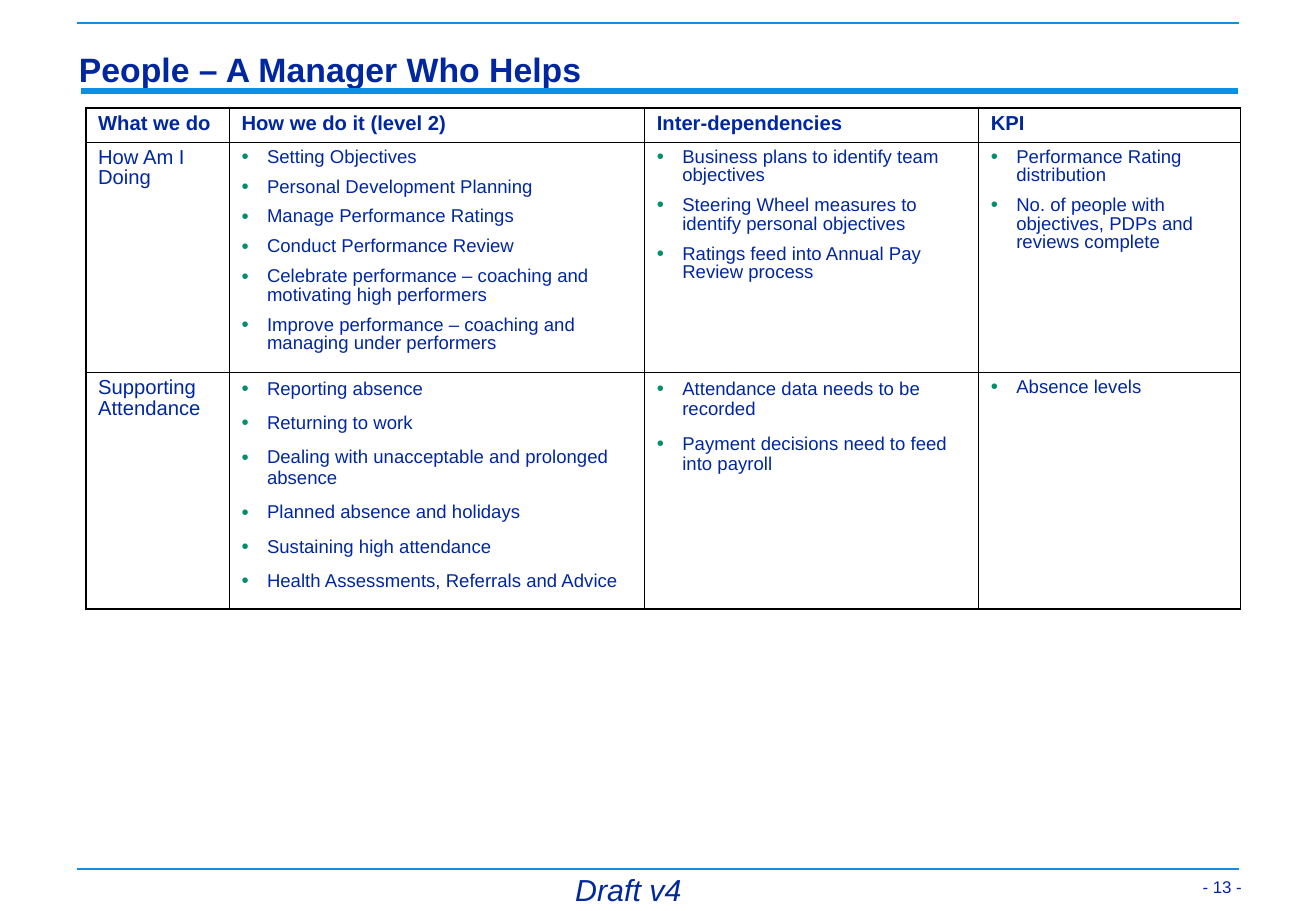
from dataclasses import dataclass
from typing import Any

from lxml.etree import SubElement
from pptx import Presentation
from pptx.dml.color import RGBColor as RGB
from pptx.enum.shapes import MSO_CONNECTOR as Conn
from pptx.enum.text import MSO_ANCHOR as Anchor, PP_ALIGN as Align
from pptx.oxml import parse_xml
from pptx.oxml.ns import nsdecls, qn
from pptx.util import Pt


@dataclass(frozen=True)
class Theme:
    font: str = "Arial"
    navy: RGB = RGB.from_string("00279F")
    sky: RGB = RGB.from_string("0A91E6")
    bullet: str = "008F6D"
    border: str = "000000"
    title: float = 20
    draft: float = 18
    label: float = 12
    item: float = 11
    page: float = 10
    outer: float = 1.08
    inner: float = 0.45


@dataclass(frozen=True)
class Rule:
    x1: float
    x2: float
    y: float
    weight: float


@dataclass(frozen=True)
class Style:
    size: float
    bold: bool = False
    italic: bool = False
    align: Any = Align.LEFT
    spacing: float = 0.9
    before: float = 0
    after: float = 0
    bulleted: bool = False


@dataclass(frozen=True)
class Cell:
    lines: tuple[str, ...]
    style: Style


@dataclass(frozen=True)
class Label:
    text: str
    box: tuple[float, float, float, float]
    style: Style
    margins: tuple[float, float]
    anchor: Any


T = Theme()
HEAD = Style(T.label, bold=True)
TOPIC = Style(T.label)
TIGHT = Style(T.item, before=6.1, after=0.6, bulleted=True)
LOOSE = Style(T.item, spacing=1.0, before=7.5, after=0.6, bulleted=True)

TITLE = Label("People – A Manager Who Helps", (41.8, 24, 693.4, 31.7),
              Style(T.title, bold=True, spacing=0.97), (5, 2.2), Anchor.BOTTOM)
FOOTERS = (
    Label("- 13 -", (697.9, 505.8, 43.2, 28.1),
          Style(T.page, align=Align.RIGHT, spacing=1.0), (5, 2.2), Anchor.BOTTOM),
    Label("Draft v4", (287.2, 515, 170.6, 26.6),
          Style(T.draft, italic=True, align=Align.CENTER), (7.2, 3.6), Anchor.TOP),
)
RULES = (
    Rule(48.2, 733.9, 54, 4),
    Rule(45.4, 734.5, 13.8, 1),
    Rule(45.4, 734.5, 515, 1),
)
COLUMNS = (85, 246.2, 198, 155.2)
ROWS = (20.2, 136.4, 140.4)
CELLS = (
    tuple(Cell((text,), HEAD) for text in (
        "What we do", "How we do it (level 2)", "Inter-dependencies", "KPI")),
    (
        Cell(("How Am I Doing",), TOPIC),
        Cell(("Setting Objectives",
              "Personal Development Planning",
              "Manage Performance Ratings",
              "Conduct Performance Review",
              "Celebrate performance – coaching and motivating high performers",
              "Improve performance – coaching and managing under performers"), TIGHT),
        Cell(("Business plans to identify team objectives",
              "Steering Wheel measures to identify personal objectives",
              "Ratings feed into Annual Pay Review process"), TIGHT),
        Cell(("Performance Rating distribution",
              "No. of people with objectives, PDPs and reviews complete"), TIGHT),
    ),
    (
        Cell(("Supporting Attendance",), TOPIC),
        Cell(("Reporting absence",
              "Returning to work",
              "Dealing with unacceptable and prolonged absence",
              "Planned absence and holidays",
              "Sustaining high attendance",
              "Health Assessments, Referrals and Advice"), LOOSE),
        Cell(("Attendance data needs to be recorded",
              "Payment decisions need to feed into payroll"), LOOSE),
        Cell(("Absence levels",), TIGHT),
    ),
)


def set_all(target: Any, values: dict[str, Any]) -> None:
    for name, value in values.items():
        setattr(target, name, value)


def add_bullet(p: Any) -> None:
    pPr = p._p.get_or_add_pPr()
    for name, value in {"marL": Pt(15.1), "indent": Pt(-15.1)}.items():
        pPr.set(name, str(value))
    color = SubElement(pPr, qn("a:buClr"))
    SubElement(color, qn("a:srgbClr"), val=T.bullet)
    SubElement(pPr, qn("a:buSzPct"), val="110000")
    SubElement(pPr, qn("a:buFont"), typeface=T.font)
    SubElement(pPr, qn("a:buChar"), char="•")


def write(tf: Any, lines: tuple[str, ...], style: Style) -> None:
    for i, line in enumerate(lines):
        p = tf.paragraphs[0] if i == 0 else tf.add_paragraph()
        if style.bulleted:
            add_bullet(p)
        set_all(p, {"alignment": style.align, "line_spacing": style.spacing,
                    "space_before": Pt(style.before if i else 0),
                    "space_after": Pt(style.after)})
        r = p.add_run()
        r.text = line
        set_all(r.font, {"name": T.font, "size": Pt(style.size),
                         "bold": style.bold, "italic": style.italic})
        r.font.color.rgb = T.navy


def fill_label(sp: Any, label: Label) -> None:
    set_all(sp, dict(zip(("left", "top", "width", "height"), map(Pt, label.box))))
    side, edge = map(Pt, label.margins)
    tf = sp.text_frame
    set_all(tf, {"word_wrap": True, "vertical_anchor": label.anchor,
                 "margin_left": side, "margin_right": side,
                 "margin_top": edge, "margin_bottom": edge})
    write(tf, (label.text,), label.style)


def add_rule(s: Any, rule: Rule) -> None:
    line = s.shapes.add_connector(Conn.STRAIGHT, Pt(rule.x1), Pt(rule.y),
                                  Pt(rule.x2), Pt(rule.y))
    line.line.color.rgb = T.sky
    line.line.width = Pt(rule.weight)
    SubElement(line._element.spPr, qn("a:effectLst"))


def set_borders(cell: Any, row: int, col: int) -> None:
    edges = {"L": col == 0, "R": col == len(COLUMNS) - 1,
             "T": row == 0, "B": row == len(ROWS) - 1}
    tcPr = cell._tc.get_or_add_tcPr()
    for i, (side, outside) in enumerate(edges.items()):
        width = Pt(T.outer if outside else T.inner)
        tcPr.insert(i, parse_xml(
            f'<a:ln{side} {nsdecls("a")} w="{width}"><a:solidFill>'
            f'<a:srgbClr val="{T.border}"/></a:solidFill></a:ln{side}>'))


def add_plan_table(s: Any) -> None:
    table = s.shapes.add_table(len(ROWS), len(COLUMNS), Pt(51), Pt(64.1),
                               Pt(sum(COLUMNS)), Pt(sum(ROWS))).table
    set_all(table, {"first_row": False, "horz_banding": False})
    for column, width in zip(table.columns, COLUMNS):
        column.width = Pt(width)
    for i, (row, height) in enumerate(zip(table.rows, ROWS)):
        row.height = Pt(height)
        for j, (cell, content) in enumerate(zip(row.cells, CELLS[i])):
            cell.fill.background()
            set_borders(cell, i, j)
            write(cell.text_frame, content.lines, content.style)


def main() -> None:
    prs = Presentation()
    set_all(prs, {"slide_width": Pt(780.13), "slide_height": Pt(540)})
    s = prs.slides.add_slide(prs.slide_layouts[5])
    for rule in RULES:
        add_rule(s, rule)
    for footer in FOOTERS:
        fill_label(s.shapes.add_textbox(*map(Pt, footer.box)), footer)
    fill_label(s.shapes.title, TITLE)
    add_plan_table(s)
    prs.save("out.pptx")


if __name__ == "__main__":
    main()
